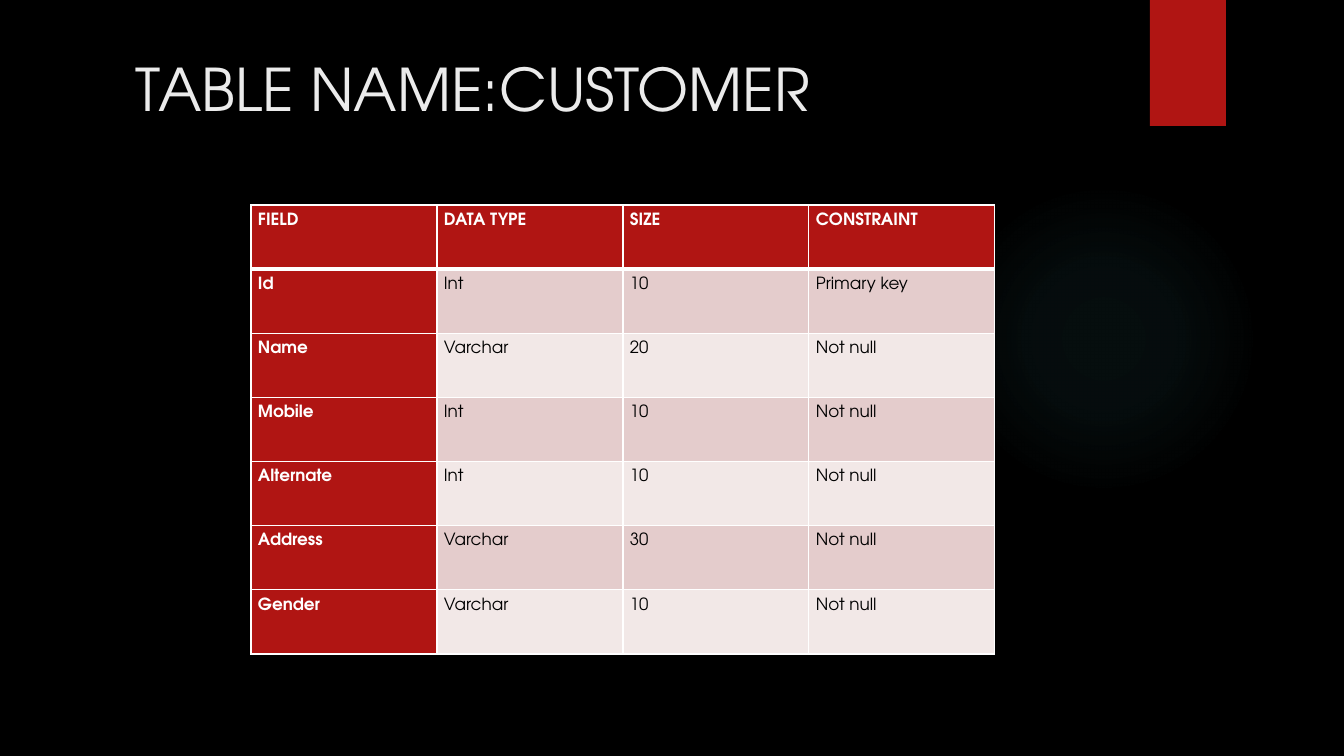
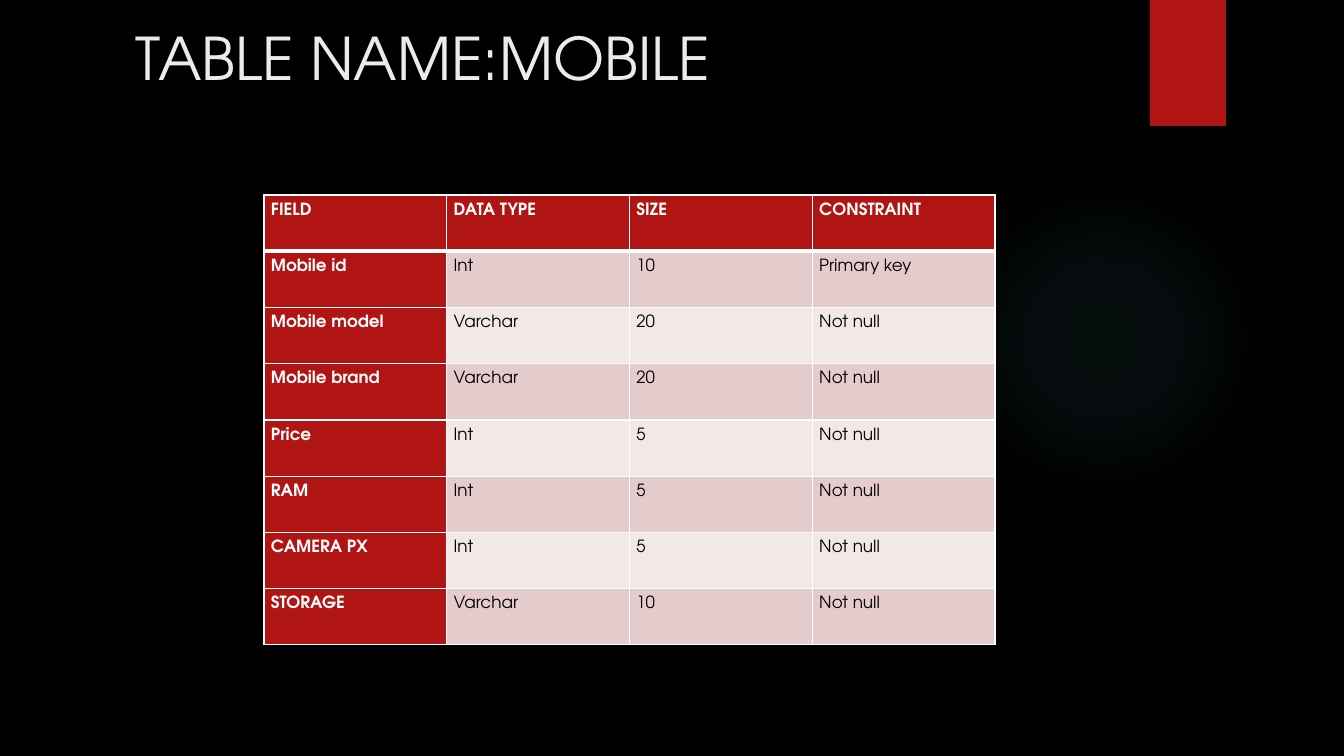
from lxml.etree import SubElement
from pptx import Presentation
from pptx.dml.color import RGBColor as Rgb
from pptx.enum.shapes import MSO_SHAPE as Preset
from pptx.enum.text import MSO_ANCHOR as Anchor, PP_ALIGN as Align
from pptx.oxml import parse_xml
from pptx.oxml.ns import nsdecls, qn
from pptx.util import Pt

SCALE = 914400 / 100.8
FONT = "TeX Gyre Adventor"
COLORS = {
    "background": "000000", "accent": "B01513", "glow": "50B9C1",
    "title": "EBEBEB", "on_accent": "FFFFFF", "body": "000000",
    "odd_row": "E4CCCC", "even_row": "F2E8E7", "rule": "FFFFFF",
}
GLOW_STOPS = [(0, 7), (36, 6), (69, 0)]
GLOW_BOX = (949, 184, 310, 310)
RIBBON_BOX = (1150, 0, 76, 126)
CELL_FORMAT = {"margin_left": 7, "margin_right": 7, "margin_top": 0, "margin_bottom": 0}
HEADER = ("FIELD", "DATA TYPE", "SIZE", "CONSTRAINT")
SCHEMAS = [
    ("TABLE NAME:CUSTOMER", (126, 48, 1092, 137), (251, 205, 744, 449), [
        ("Id", "Int", "10", "Primary key"),
        ("Name", "Varchar", "20", "Not null"),
        ("Mobile", "Int", "10", "Not null"),
        ("Alternate", "Int", "10", "Not null"),
        ("Address", "Varchar", "30", "Not null"),
        ("Gender", "Varchar", "10", "Not null"),
    ]),
    ("TABLE NAME:MOBILE", (126, 17, 1092, 130), (264, 195, 731, 450), [
        ("Mobile id", "Int", "10", "Primary key"),
        ("Mobile model", "Varchar", "20", "Not null"),
        ("Mobile brand", "Varchar", "20", "Not null"),
        ("Price", "Int", "5", "Not null"),
        ("RAM", "Int", "5", "Not null"),
        ("CAMERA PX", "Int", "5", "Not null"),
        ("STORAGE", "Varchar", "10", "Not null"),
    ]),
]


def px(length):
    """Turn pixels into EMU."""
    return round(length * SCALE)


def emu_box(box):
    """Turn a pixel box into EMU values."""
    return [px(length) for length in box]


def color(name):
    """Look up a palette colour."""
    return Rgb.from_string(COLORS[name])


def write(frame, text, size, ink, bold=False, spacing=1.0):
    """Write one styled, left-aligned paragraph."""
    paragraph = frame.paragraphs[0]
    for key, value in {"alignment": Align.LEFT, "line_spacing": spacing}.items():
        setattr(paragraph, key, value)
    run = paragraph.add_run()
    run.text = text
    for key, value in {"name": FONT, "size": Pt(size), "bold": bold}.items():
        setattr(run.font, key, value)
    run.font.color.rgb = color(ink)


def add_plain(slide, preset, box):
    """Add a shape with no line and no shadow."""
    shape = slide.shapes.add_shape(preset, *emu_box(box))
    shape.shadow.inherit = False
    shape.line.fill.background()
    return shape


def add_glow(slide, box):
    """Add the faint round glow."""
    glow = add_plain(slide, Preset.OVAL, box)
    stops = "".join(
        f'<a:gs pos="{pos * 1000}"><a:srgbClr val="{COLORS["glow"]}">'
        f'<a:alpha val="{alpha * 1000}"/></a:srgbClr></a:gs>'
        for pos, alpha in GLOW_STOPS)
    gradient = parse_xml(
        f'<a:gradFill {nsdecls("a")} rotWithShape="1"><a:gsLst>{stops}</a:gsLst>'
        '<a:path path="circle"><a:fillToRect l="50000" t="50000" r="50000" b="50000"/>'
        '</a:path></a:gradFill>')
    glow.element.spPr.find(qn("a:prstGeom")).addnext(gradient)


def add_ribbon(slide, box):
    """Add the red ribbon at the top edge."""
    ribbon = add_plain(slide, Preset.RECTANGLE, box)
    ribbon.fill.solid()
    ribbon.fill.fore_color.rgb = color("accent")


def add_title(slide, text, box):
    """Add the slide heading."""
    frame = slide.shapes.add_textbox(*emu_box(box)).text_frame
    for key, value in {"word_wrap": True, "vertical_anchor": Anchor.TOP}.items():
        setattr(frame, key, value)
    write(frame, text, 42, "title")


def rule_cell(cell, widths):
    """Draw the borders of a cell, given point widths by side."""
    properties = cell._tc.get_or_add_tcPr()
    for place, (side, width) in enumerate(widths.items()):
        border = SubElement(properties, qn(f"a:ln{side}"), w=str(Pt(width)))
        fill = SubElement(border, qn("a:solidFill"))
        SubElement(fill, qn("a:srgbClr"), val=COLORS["rule"])
        properties.insert(place, border)


def add_schema(slide, fields, box):
    """Add the field table, with equal rows and columns filling its box."""
    rows = [HEADER, *fields]
    left, top, width, height = emu_box(box)
    table = slide.shapes.add_table(
        len(rows), len(HEADER), left, top, width, height).table
    for column in table.columns:
        column.width = width // len(HEADER)
    for r, values in enumerate(rows):
        table.rows[r].height = height // len(rows)
        for c, value in enumerate(values):
            cell = table.cell(r, c)
            strong = r == 0 or c == 0
            band = "odd_row" if r % 2 else "even_row"
            for key, margin in CELL_FORMAT.items():
                setattr(cell, key, px(margin))
            cell.fill.solid()
            cell.fill.fore_color.rgb = color("accent" if strong else band)
            write(cell.text_frame, value, 12,
                  "on_accent" if strong else "body", strong, 1.5)
            rule_cell(cell, {"L": 1, "R": 1, "T": 3 if r == 1 else 1,
                             "B": 3 if r == 0 else 1})


def add_schema_slide(deck, title, title_box, table_box, fields):
    """Build one slide describing a database table."""
    slide = deck.slides.add_slide(deck.slide_layouts[6])
    slide.background.fill.solid()
    slide.background.fill.fore_color.rgb = color("background")
    add_glow(slide, GLOW_BOX)
    add_ribbon(slide, RIBBON_BOX)
    add_title(slide, title, title_box)
    add_schema(slide, fields, table_box)


def main():
    """Build and save the deck."""
    deck = Presentation()
    deck.slide_width, deck.slide_height = px(1344), px(756)
    for schema in SCHEMAS:
        add_schema_slide(deck, *schema)
    deck.save("out.pptx")


if __name__ == "__main__":
    main()
